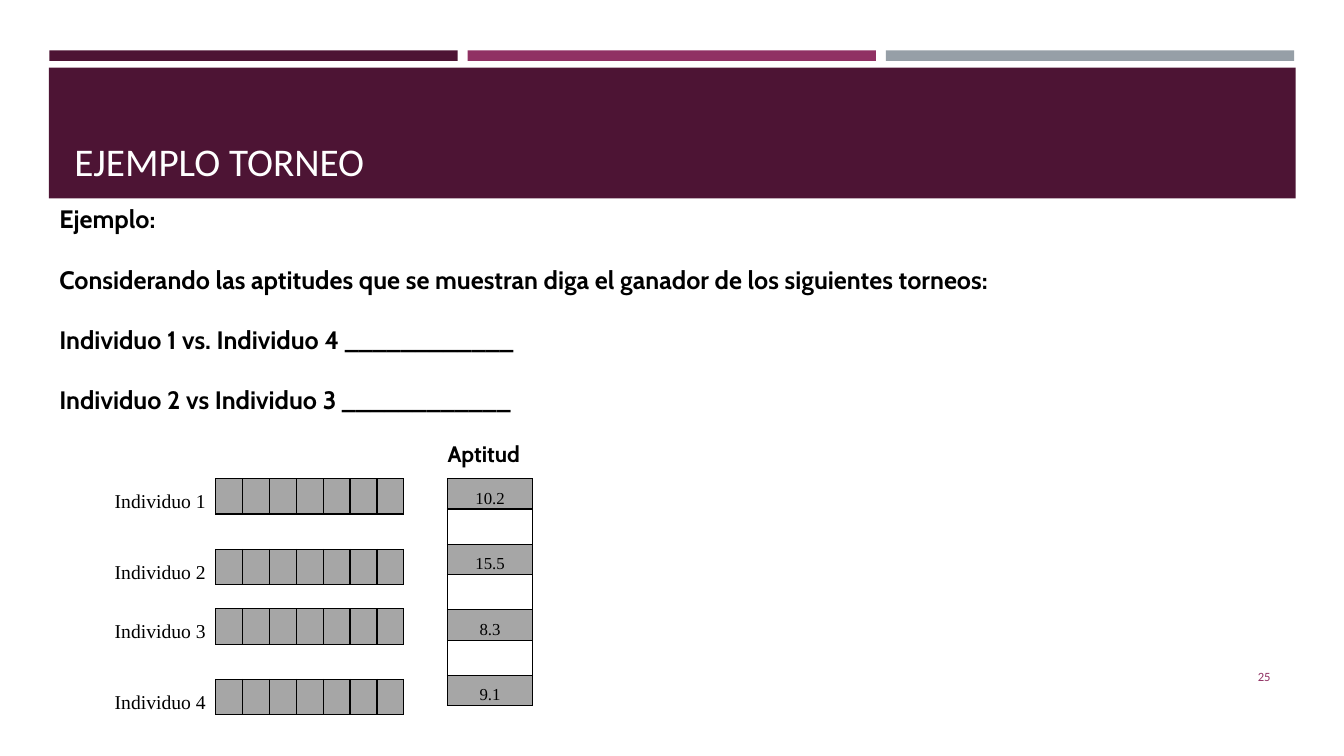
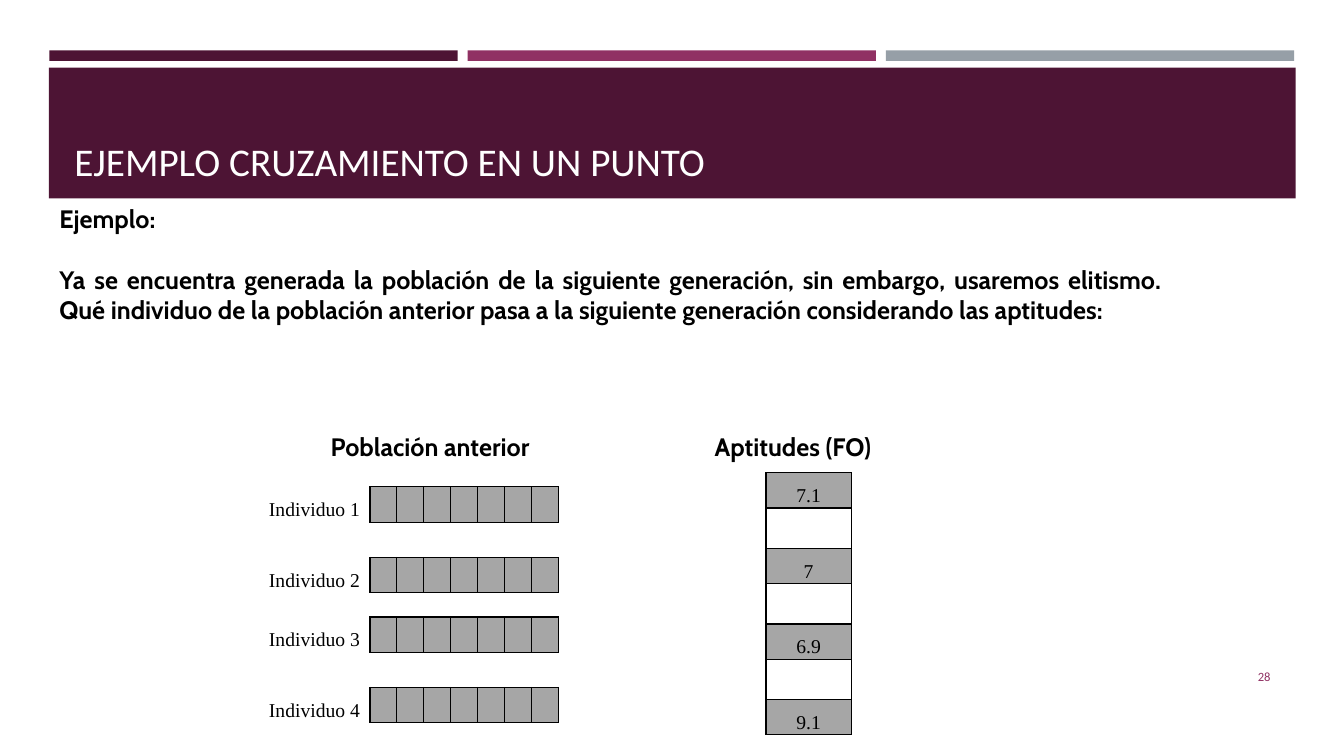
import dataclasses

import lxml.etree
import pptx
import pptx.dml.color
import pptx.enum.shapes
import pptx.enum.text
import pptx.oxml.ns
import pptx.util

Pt = pptx.util.Pt
RGB = pptx.dml.color.RGBColor.from_string
qn = pptx.oxml.ns.qn
ALIGN = pptx.enum.text.PP_ALIGN
ANCHOR = pptx.enum.text.MSO_ANCHOR


@dataclasses.dataclass(frozen=True)
class Theme:
    plum: str = "4D1434"
    magenta: str = "903163"
    steel: str = "969FA7"
    gray: str = "A6A6A6"
    white: str = "FFFFFF"
    black: str = "000000"
    head_font: str = "Calibri"
    body_font: str = "Cabin"
    table_font: str = "Times New Roman"
    title: int = 28
    body: int = 18
    caption: int = 16
    label: int = 14
    value: int = 12
    number: int = 9
    empty: int = 8
    blank_line: float = 21.5


theme = Theme()
prs = pptx.Presentation()
prs.slide_width = pptx.util.Inches(13.33)
prs.slide_height = pptx.util.Inches(7.5)
col = prs.slide_width / 100
row = prs.slide_height / 100


def add_text(slide, box, lines, size, font, color, bold=False, align=ALIGN.LEFT, anchor=ANCHOR.TOP, before=0):
    x, y, w, h = box
    tf = slide.shapes.add_textbox(int(x * col), int(y * row), int(w * col), int(h * row)).text_frame
    tf.word_wrap = True
    tf.vertical_anchor = anchor
    for i, line in enumerate(lines):
        p = tf.paragraphs[0] if i == 0 else tf.add_paragraph()
        p.text = line
        p.alignment = align
        p.space_before = Pt(before if i else 0)
        p.font.size, p.font.name, p.font.bold = Pt(size), font, bold
        p.font.color.rgb = RGB(color)


def set_cell(cell, text, size, fill, sides):
    cell.margin_left = cell.margin_right = int(0.5 * col)
    cell.margin_top = cell.margin_bottom = 0
    cell.vertical_anchor = ANCHOR.MIDDLE
    p = cell.text_frame.paragraphs[0]
    if text:
        p.text = text
        p.alignment = ALIGN.CENTER
        p.line_spacing = 1.5
        p.space_after = Pt(12)
        p.font.size, p.font.name = Pt(size), theme.table_font
        p.font.color.rgb = RGB(theme.black)
    else:
        lxml.etree.SubElement(p._p, qn("a:endParaRPr"), sz=str(theme.empty * 100))
    tc_pr = cell._tc.get_or_add_tcPr()
    for side in "LRTB":
        ln = lxml.etree.SubElement(tc_pr, qn("a:ln" + side), w=str(Pt(1)))
        if side in sides:
            solid = lxml.etree.SubElement(ln, qn("a:solidFill"))
            lxml.etree.SubElement(solid, qn("a:srgbClr"), val=theme.black)
        else:
            lxml.etree.SubElement(ln, qn("a:noFill"))
    cell.fill.solid()
    cell.fill.fore_color.rgb = RGB(fill)


slides = [
    dict(
        title="EJEMPLO TORNEO", number="25", align=ALIGN.LEFT, height=29.6,
        body=["Ejemplo:",
              "Considerando las aptitudes que se muestran diga el ganador de los siguientes torneos:",
              "Individuo 1 vs. Individuo 4 ____________",
              "Individuo 2 vs Individuo 3 ____________"],
        people=(7.8, 63.33), fitness=(33.3, 63.33), fitness_rows=(4, 4.67),
        values=["10.2", "15.5", "8.3", "9.1"], value_size=theme.value,
        captions=[("Aptitud", (32.56, 57.6, 7.8, 4.93))], caption_size=theme.caption,
    ),
    dict(
        title="EJEMPLO CRUZAMIENTO EN UN PUNTO", number="28", align=ALIGN.JUSTIFY, height=21.6,
        body=["Ejemplo:",
              "Ya se encuentra generada la población de la siguiente generación, sin embargo, "
              "usaremos elitismo. Qué individuo de la población anterior pasa a la siguiente "
              "generación considerando las aptitudes:"],
        people=(19.28, 64.4), fitness=(57, 62.53), fitness_rows=(4.67, 5.33),
        values=["7.1", "7", "6.9", "9.1"], value_size=theme.label,
        captions=[("Población anterior", (23.86, 56.4, 22.36, 5.33)),
                  ("Aptitudes (FO)", (52.44, 56.4, 15.45, 5.33))], caption_size=theme.body,
    ),
]

bands = [(3.68 + 31.12 * i, 6.67, 30.38, 1.4, color)
         for i, color in enumerate((theme.plum, theme.magenta, theme.steel))]
bands.append((3.64, 8.93, 92.76, 17.33, theme.plum))
people_cols = [8.25] + [2] * 7
people_rows = [4.67, 4.67, 4.67, 3.2, 4.67, 4.67, 4.67]

for data in slides:
    slide = prs.slides.add_slide(prs.slide_layouts[6])
    for x, y, w, h, color in bands:
        sp = slide.shapes.add_shape(pptx.enum.shapes.MSO_SHAPE.RECTANGLE,
                                    int(x * col), int(y * row), int(w * col), int(h * row))
        sp.shadow.inherit = False
        sp.fill.solid()
        sp.fill.fore_color.rgb = RGB(color)
        sp.line.fill.background()

    add_text(slide, (4.8, 10.27, 90.47, 14.8), [data["title"]], theme.title, theme.head_font,
             theme.white, anchor=ANCHOR.BOTTOM)
    add_text(slide, (86.65, 86.8, 8.63, 5.33), [data["number"]], theme.number, theme.head_font,
             theme.magenta, align=ALIGN.RIGHT, anchor=ANCHOR.MIDDLE)
    add_text(slide, (3.68, 26.27, 83.5, data["height"]), data["body"], theme.body, theme.body_font,
             theme.black, bold=True, align=data["align"], before=theme.blank_line)
    for caption, box in data["captions"]:
        add_text(slide, box, [caption], data["caption_size"], theme.body_font, theme.black, bold=True)

    filled, gap = data["fitness_rows"]
    fitness_rows = [gap if i % 2 else filled for i in range(7)]
    tables = []
    for (x, y), widths, heights in ((data["people"], people_cols, people_rows),
                                    (data["fitness"], [6.33], fitness_rows)):
        frame = slide.shapes.add_table(len(heights), len(widths), int(x * col), int(y * row),
                                       int(sum(widths) * col), int(sum(heights) * row))
        table = frame.table
        table.first_row = table.horz_banding = False
        for column, width in zip(table.columns, widths):
            column.width = int(width * col)
        for line, height in zip(table.rows, heights):
            line.height = int(height * row)
        tables.append(table)

    people, fitness = tables
    for i in range(7):
        is_gap = i % 2 == 1
        fill = theme.white if is_gap else theme.gray
        name = "" if is_gap else f"Individuo {i // 2 + 1}"
        value = "" if is_gap else data["values"][i // 2]
        set_cell(people.cell(i, 0), name, theme.label, theme.white, "" if is_gap else "R")
        for j in range(1, 8):
            set_cell(people.cell(i, j), "", theme.empty, fill, "TB" if is_gap else "LRTB")
        if is_gap:
            people.cell(i, 1).merge(people.cell(i, 7))
        set_cell(fitness.cell(i, 0), value, data["value_size"], fill, "LRTB")

prs.save("out.pptx")
